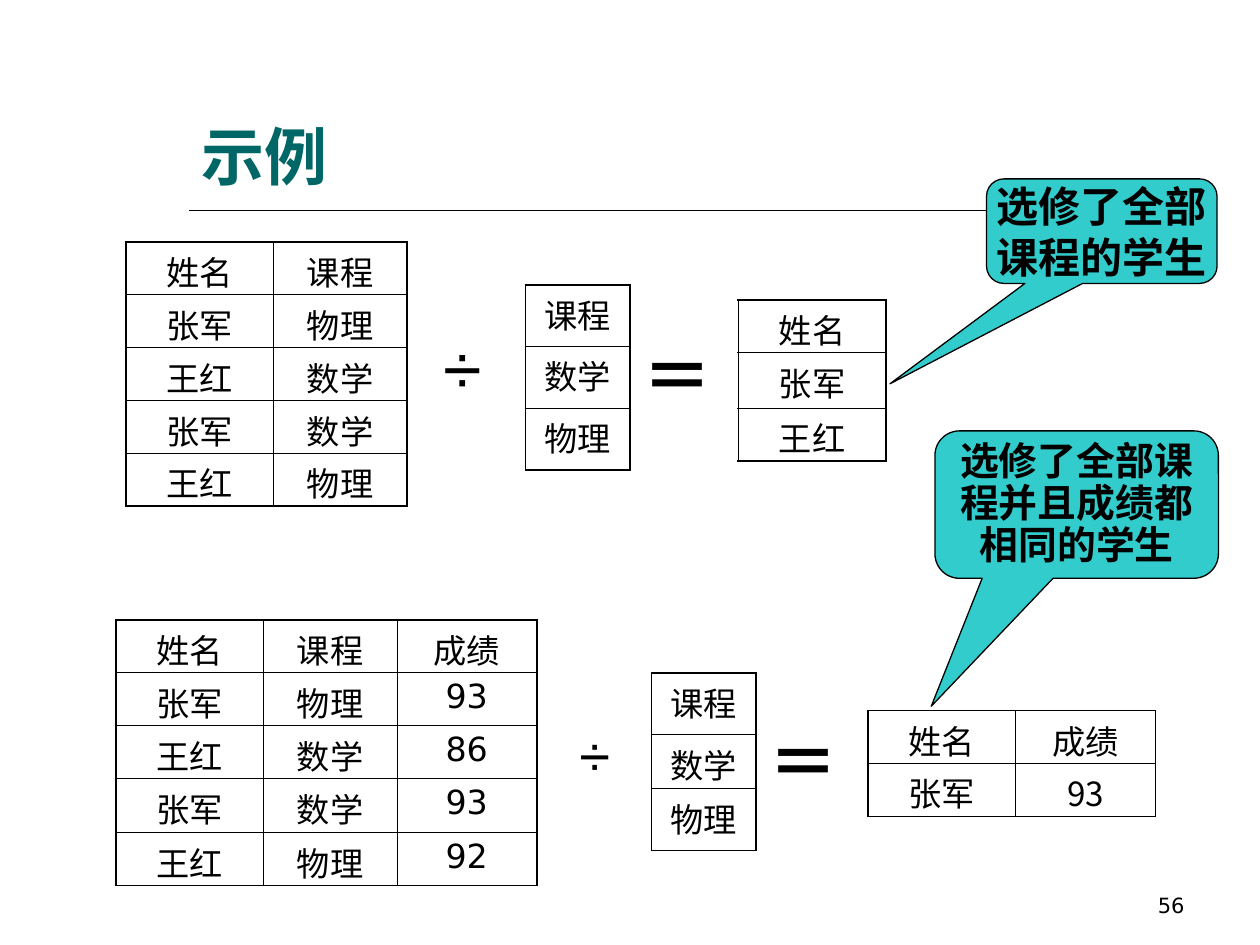
from dataclasses import dataclass

from lxml.etree import SubElement
from pptx import Presentation
from pptx.dml.color import RGBColor
from pptx.enum.shapes import MSO_CONNECTOR, MSO_SHAPE
from pptx.enum.text import MSO_ANCHOR, PP_ALIGN
from pptx.oxml.ns import qn
from pptx.util import Inches, Pt


@dataclass(frozen=True)
class Theme:
    ink: RGBColor = RGBColor.from_string("000000")
    heading: RGBColor = RGBColor.from_string("006666")
    bubble: RGBColor = RGBColor.from_string("33CCCC")
    latin: str = "DejaVu Sans"
    heading_font: str = "Arial"
    equals_font: str = "Times New Roman"
    chinese: str = "Noto Sans CJK JP"
    title_size: float = 36
    operator_size: float = 40
    small_operator_size: float = 32
    callout_size: float = 24
    small_callout_size: float = 22.2
    cell_size: float = 19
    number_size: float = 12
    outer_border: float = 1.08
    inner_border: float = 0.45


class SlideBuilder:
    def __init__(self, slide, theme):
        self.slide = slide
        self.theme = theme

    def fill_frame(self, frame, text, font, size, align=PP_ALIGN.CENTER,
                   anchor=MSO_ANCHOR.TOP, **format_values):
        frame.word_wrap = True
        frame.vertical_anchor = anchor
        self.fill_paragraph(frame.paragraphs[0], text, font, size, align, **format_values)

    def fill_paragraph(self, paragraph, text, font, size, align, color=None, bold=False):
        paragraph.alignment = align
        run = paragraph.add_run()
        run.text = text
        values = {"name": font, "size": Pt(size), "bold": bold}
        for name, value in values.items():
            setattr(run.font, name, value)
        run.font.color.rgb = color or self.theme.ink
        east_asian = SubElement(run._r.get_or_add_rPr(), qn("a:ea"))
        east_asian.set("typeface", self.theme.chinese)

    def title(self, text, left, top, width, height):
        title = self.slide.shapes.title
        box = {"left": left, "top": top, "width": width, "height": height}
        for name, value in box.items():
            setattr(title, name, Inches(value))
        self.fill_frame(title.text_frame, text, self.theme.heading_font,
                        self.theme.title_size, PP_ALIGN.LEFT, MSO_ANCHOR.BOTTOM,
                        color=self.theme.heading, bold=True)

    def rule(self, left, right, y):
        line = self.slide.shapes.add_connector(
            MSO_CONNECTOR.STRAIGHT, Inches(left), Inches(y), Inches(right), Inches(y))
        line.line.color.rgb = self.theme.ink
        line.line.width = Pt(1)
        SubElement(line._element.spPr, qn("a:effectLst"))

    def label(self, text, left, top, width, height, font, size, **format_values):
        box = self.slide.shapes.add_textbox(
            Inches(left), Inches(top), Inches(width), Inches(height))
        self.fill_frame(box.text_frame, text, font, size, **format_values)

    def callout(self, text, left, top, width, height, tip, size, spacing):
        """Draw a speech bubble; tip is its pointer offset from the centre, in box sizes."""
        bubble = self.slide.shapes.add_shape(
            MSO_SHAPE.ROUNDED_RECTANGULAR_CALLOUT,
            Inches(left), Inches(top), Inches(width), Inches(height))
        bubble.shadow.inherit = False
        bubble.adjustments[0], bubble.adjustments[1] = tip
        bubble.fill.solid()
        bubble.fill.fore_color.rgb = self.theme.bubble
        bubble.line.color.rgb = self.theme.ink
        bubble.line.width = Pt(0.75)
        frame = bubble.text_frame
        for side in ("left", "top", "right", "bottom"):
            setattr(frame, f"margin_{side}", 0)
        frame.paragraphs[0].line_spacing = spacing
        self.fill_frame(frame, text, self.theme.chinese, size,
                        anchor=MSO_ANCHOR.MIDDLE, bold=True)

    def relation(self, rows, left, top, widths, heights, font=None):
        """Draw a relation as a table with a heavy frame and hairlines inside."""
        frame = self.slide.shapes.add_table(
            len(rows), len(widths), Inches(left), Inches(top),
            Inches(sum(widths)), Inches(sum(heights)))
        table = frame.table
        table.first_row = table.horz_banding = False
        for column, width in zip(table.columns, widths):
            column.width = Inches(width)
        for row, height in zip(table.rows, heights):
            row.height = Inches(height)
        for r, values in enumerate(rows):
            for c, value in enumerate(values):
                cell = table.cell(r, c)
                cell.margin_top = Inches(0.04)
                cell.margin_bottom = 0
                self.fill_paragraph(cell.text_frame.paragraphs[0], value,
                                    font or self.theme.latin, self.theme.cell_size,
                                    PP_ALIGN.CENTER)
                on_frame = {"L": c == 0, "R": c == len(widths) - 1,
                            "T": r == 0, "B": r == len(rows) - 1}
                self.borders(cell, on_frame)
                cell.fill.background()

    def borders(self, cell, on_frame):
        properties = cell._tc.get_or_add_tcPr()
        for side, outer in on_frame.items():
            points = self.theme.outer_border if outer else self.theme.inner_border
            line = SubElement(properties, qn(f"a:ln{side}"), w=str(Pt(points)))
            fill = SubElement(line, qn("a:solidFill"))
            SubElement(fill, qn("a:srgbClr"), val=str(self.theme.ink))


def main():
    presentation = Presentation()
    presentation.slide_width, presentation.slide_height = Inches(10), Inches(7.5)
    theme = Theme()
    builder = SlideBuilder(
        presentation.slides.add_slide(presentation.slide_layouts[5]), theme)

    builder.title("示例", 1.5, 0.33, 8, 1.25)
    builder.rule(1.5, 9.5, 1.67)
    builder.label("56", 7.17, 6.83, 2.33, 0.5, theme.latin, theme.number_size,
                  align=PP_ALIGN.RIGHT, anchor=MSO_ANCHOR.BOTTOM)

    name_width, course_width, grade_width, divisor_width = 1.17, 1.06, 1.11, 0.83
    row = 0.42
    enrolments = [("姓名", "课程"), ("张军", "物理"), ("王红", "数学"),
                  ("张军", "数学"), ("王红", "物理")]
    grades = ["成绩", "93", "86", "93", "92"]
    graded = [(*enrolment, grade) for enrolment, grade in zip(enrolments, grades)]
    courses = [("课程",), ("数学",), ("物理",)]

    builder.relation(enrolments, 1, 1.92, [name_width, course_width], [row] * 5)
    builder.relation(courses, 4.17, 2.26, [divisor_width], [0.49] * 3)
    builder.relation([("姓名",), ("张军",), ("王红",)], 5.86, 2.38,
                     [name_width], [row, 0.44, row])

    builder.relation(graded, 0.92, 4.92, [name_width, course_width, grade_width],
                     [row, row, row, 0.43, row])
    builder.relation(courses, 5.17, 5.34, [divisor_width], [0.49, 0.43, 0.49])
    builder.relation([("姓名", "成绩"), ("张军", "93")], 6.89, 5.64,
                     [name_width, grade_width], [row] * 2, theme.chinese)

    builder.label("÷", 3.42, 2.53, 0.42, 0.77, theme.heading_font, theme.operator_size)
    builder.label("÷", 4.5, 5.67, 0.42, 0.64, theme.heading_font,
                  theme.small_operator_size)
    for left, top in ((5, 2.59), (6, 5.65)):
        builder.label("＝", left, top, 0.67, 0.77, theme.equals_font,
                      theme.operator_size, bold=True)

    builder.callout("选修了全部课程并且成绩都相同的学生", 7.42, 3.42, 2.25, 1.17,
                    (-0.513, 1.368), theme.small_callout_size, 0.9)
    builder.callout("选修了全部课程的学生", 7.83, 1.42, 1.83, 0.83,
                    (-0.919, 1.46), theme.callout_size, 1.0)
    presentation.save("out.pptx")


if __name__ == "__main__":
    main()
